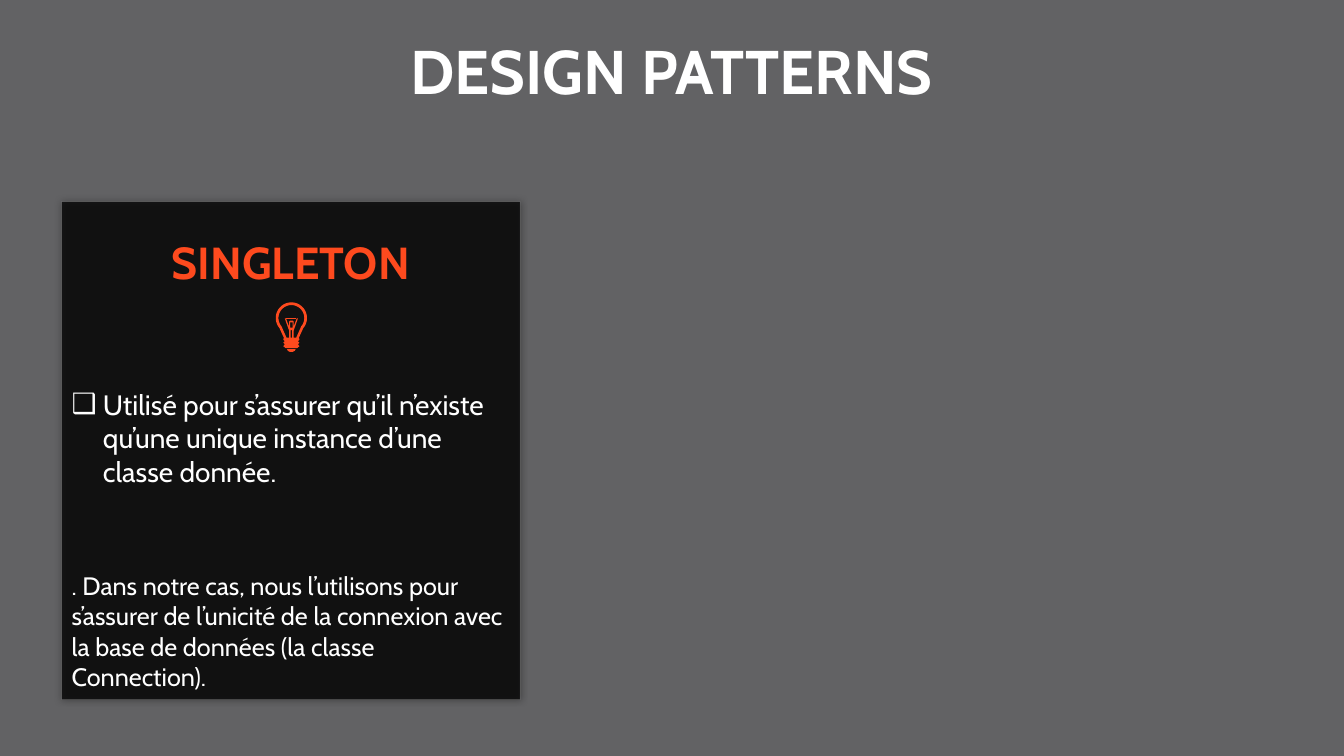
from math import cos, radians, sin

from lxml.etree import SubElement
from pptx import Presentation
from pptx.dml.color import RGBColor as Rgb
from pptx.enum.shapes import MSO_SHAPE as Preset
from pptx.enum.text import MSO_ANCHOR as Anchor, MSO_AUTO_SIZE as AutoSize, PP_ALIGN as Align
from pptx.oxml.ns import qn
from pptx.util import Inches, Pt

COLOURS = {"page": "626264", "card": "000000", "text": "FFFFFF", "accent": "FE4A1E"}
WIDTH, HEIGHT = Inches(13.33), Inches(7.5)
CARD_LEFT, CARD_WIDTH = 4.58, 34.13
USE = "Utilisé pour s’assurer qu’il n’existe qu’une unique instance d’une classe donnée."
CASE = (". Dans notre cas, nous l’utilisons pour s’assurer de l’unicité de la connexion "
        "avec la base de données (la classe Connection).")


def colour(name):
    """Return a named colour."""
    return Rgb.from_string(COLOURS[name])


def area(left, top, width, height):
    """Turn percentages of the slide into lengths."""
    return [round(share * full / 100) for share, full in
            zip((left, top, width, height), (WIDTH, HEIGHT, WIDTH, HEIGHT))]


def put(box, *shares):
    """Move a box to its area of the slide."""
    box.left, box.top, box.width, box.height = area(*shares)
    return box


def write(box, lines, size, name="text", bold=False, align=Align.LEFT):
    """Fill a box with paragraphs of one style."""
    frame = box.text_frame
    frame.text = "\n".join(lines)
    frame.word_wrap = True
    frame.auto_size = AutoSize.NONE
    frame.vertical_anchor = Anchor.TOP
    for para in frame.paragraphs:
        para.alignment = align
        para.line_spacing = 1.0
        para.space_before = Pt(0)
        for span in para.runs:
            span.font.name, span.font.size = "Cabin", Pt(size)
            span.font.bold, span.font.color.rgb = bold, colour(name)
    return frame.paragraphs


def set_bullet(para, symbol=None, indent=0):
    """Give a paragraph a hanging bullet, or none."""
    props = para._p.get_or_add_pPr()
    props.set("marL", str(Inches(indent)))
    props.set("indent", str(-Inches(indent)))
    if symbol:
        SubElement(props, qn("a:buChar"), char=symbol)
    else:
        SubElement(props, qn("a:buNone"))


def set_opacity(parent, percent):
    """Make the solid colour under an element translucent."""
    tint = next(parent.iter(qn("a:srgbClr")))
    SubElement(tint, qn("a:alpha"), val=str(percent * 1000))


def add_card(page):
    """Draw the dark card with its soft shadow."""
    card = page.shapes.add_shape(Preset.RECTANGLE, *area(CARD_LEFT, 26.67, CARD_WIDTH, 65.87))
    card.fill.solid()
    card.fill.fore_color.rgb = colour("card")
    card.line.color.rgb = colour("text")
    card.line.width = Pt(0.5)
    card.shadow.inherit = False
    props = card._element.spPr
    set_opacity(props.find(qn("a:solidFill")), 75)
    set_opacity(props.find(qn("a:ln")), 15)
    shadow = SubElement(props.find(qn("a:effectLst")), qn("a:outerShdw"),
                        blurRad=str(Pt(5)), dist="0", dir="0", algn="ctr", rotWithShape="0")
    SubElement(shadow, qn("a:srgbClr"), val=COLOURS["card"])
    set_opacity(shadow, 40)


def arc(radius, middle, start, end):
    """List points on an arc centred on the bulb's axis."""
    return [(radius * cos(radians(angle)), middle + radius * sin(radians(angle)))
            for angle in range(start, end + 1, 5)]


def mirror(half):
    """Close a right half outline with its left half."""
    return half + [(-x, y) for x, y in reversed(half)]


def add_outline(group, *halves):
    """Draw symmetric contours, in hundredths of an inch, as one shape."""
    contours = [[(x * 100, y * 100) for x, y in mirror(half)] for half in halves]
    builder = group.shapes.build_freeform(*contours[0][0], scale=Inches(1) / 10000)
    builder.add_line_segments(contours[0][1:], close=True)
    for contour in contours[1:]:
        builder.move_to(*contour[0])
        builder.add_line_segments(contour[1:], close=True)
    shape = builder.convert_to_shape(Inches(2.89), Inches(3))
    shape.fill.solid()
    shape.fill.fore_color.rgb = colour("accent")
    shape.line.fill.background()
    shape.shadow.inherit = False


def add_bulb(page):
    """Draw the light bulb from its half outlines."""
    group = page.shapes.add_group_shape()
    glass = arc(15.5, 15.5, -90, 40) + [
        (7.5, 35), (8, 37), (6.5, 38.5), (8, 40), (6.5, 41.5), (8, 43.5), (5.5, 45.5)]
    hollow = arc(12.8, 15.5, -90, 40) + [
        (4.8, 35), (2.3, 35), (2.3, 28), (6.5, 16), (5.3, 16), (2.3, 24),
        (2.3, 19), (1.3, 19), (1.3, 25)]
    slot = [(0.8, 27.5), (0.8, 35)]
    add_outline(group, glass, hollow, slot)
    add_outline(group, [(4.3, 46.3), (3.5, 48), (1.5, 49)])
    add_outline(group, [(1.5, 18.2), (2, 19), (1.5, 19.8)])
    add_outline(group, [(5, 15.7), (5, 16.5)])


def main():
    """Build the slide and save it."""
    deck = Presentation()
    deck.slide_width, deck.slide_height = WIDTH, HEIGHT
    page = deck.slides.add_slide(deck.slide_layouts[1])
    page.background.fill.solid()
    page.background.fill.fore_color.rgb = colour("page")
    title, body = page.placeholders
    add_card(page)
    heading = page.shapes.add_textbox(*area(CARD_LEFT, 30.4, CARD_WIDTH, 8.53))
    write(heading, ["SINGLETON"], 32, "accent", True, Align.CENTER)
    put(title, 27.4, 3.73, 45.15, 11.2)
    write(title, ["DESIGN PATTERNS"], 44, "text", True, Align.CENTER)
    put(body, CARD_LEFT, 50.53, CARD_WIDTH, 42)
    use, case = write(body, [USE, CASE], 20)
    case.runs[0].font.size = Pt(18)
    case.space_before = Pt(59)
    set_bullet(use, "❑", 0.31)
    set_bullet(case)
    page.shapes._spTree.append(body._element)
    add_bulb(page)
    deck.save("out.pptx")


if __name__ == "__main__":
    main()
